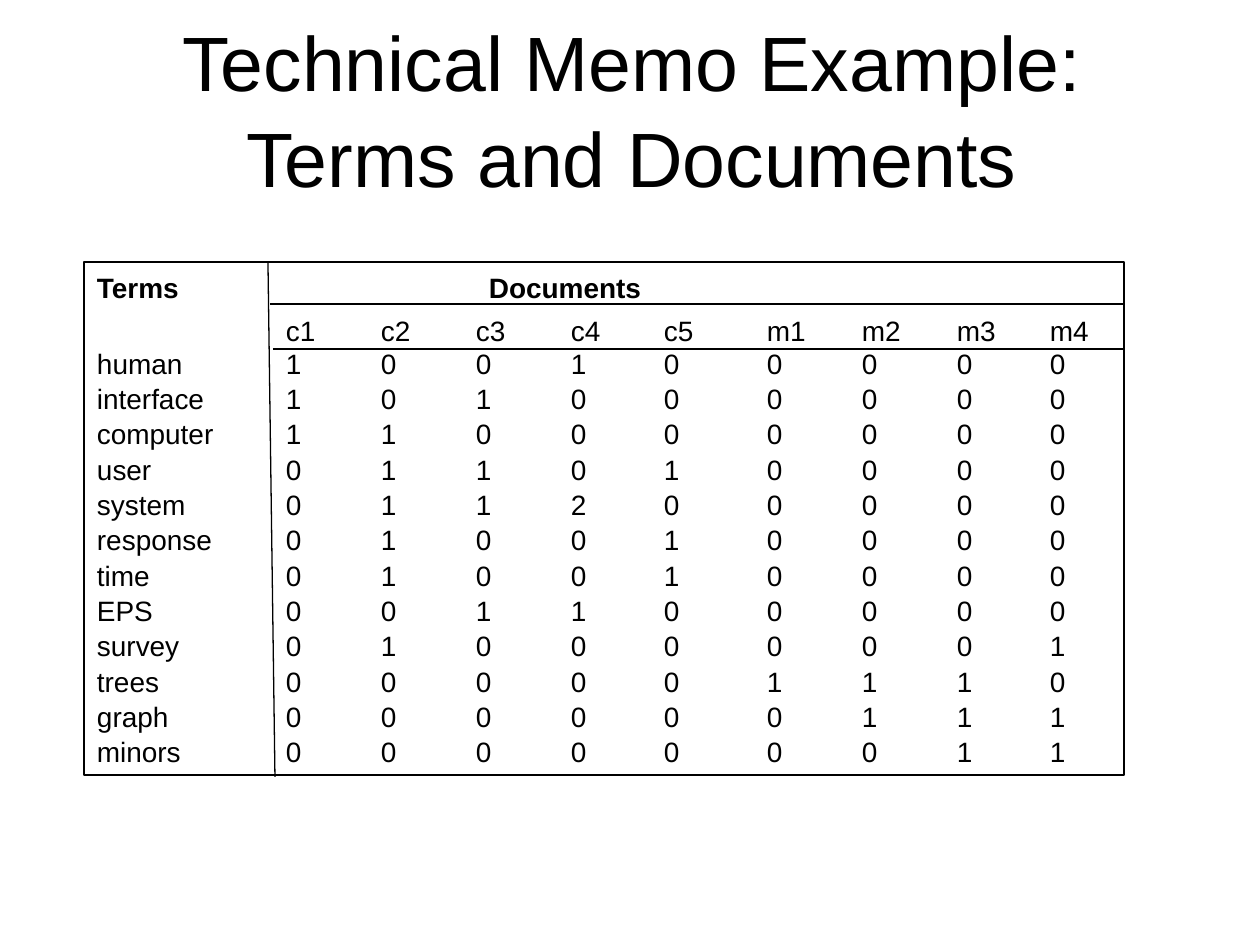
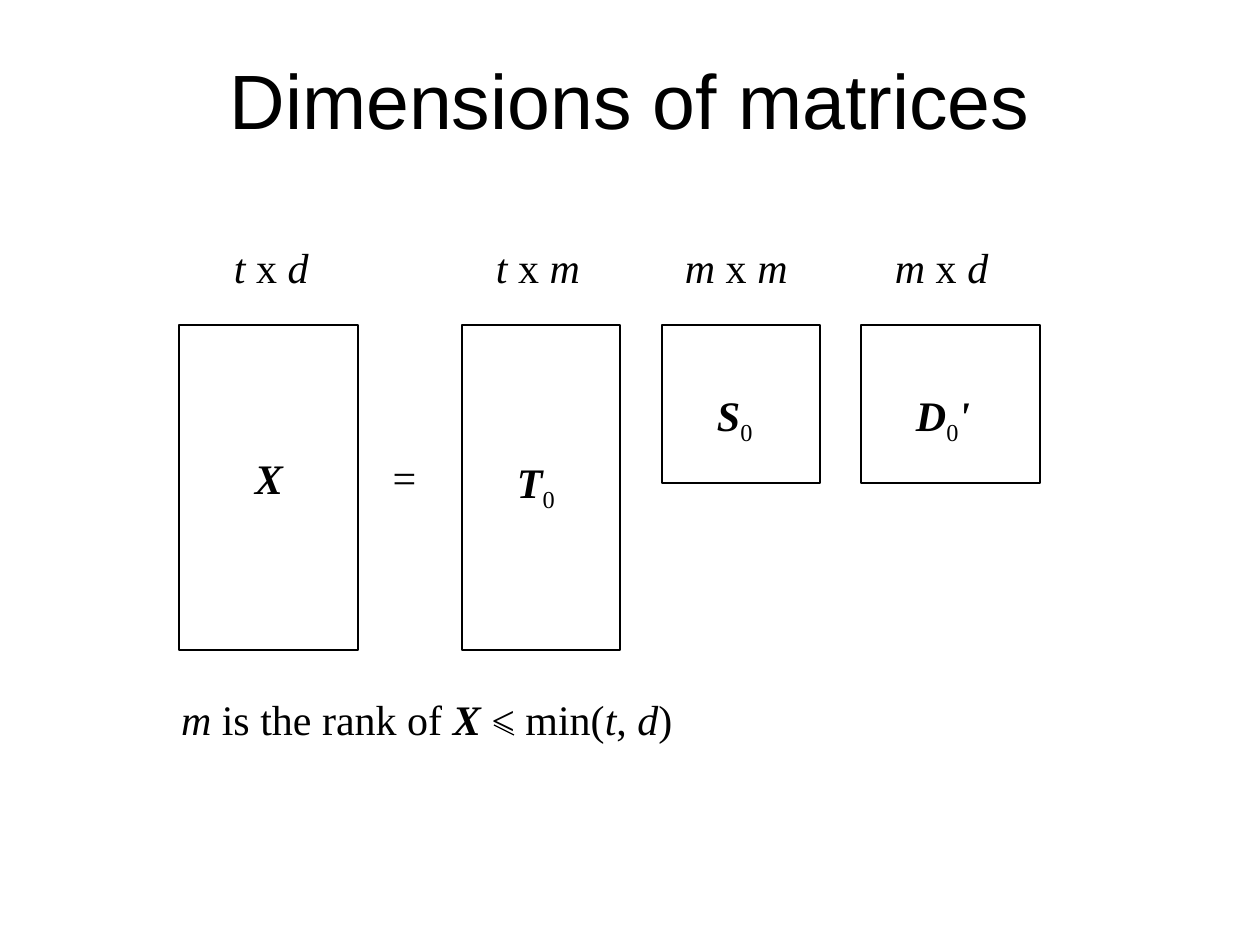
from itertools import accumulate

from lxml.etree import SubElement
from pptx import Presentation
from pptx.dml.color import RGBColor
from pptx.enum.shapes import MSO_CONNECTOR, MSO_SHAPE
from pptx.enum.text import MSO_ANCHOR, MSO_AUTO_SIZE, PP_ALIGN
from pptx.oxml.ns import qn
from pptx.util import Emu, Pt

PX = 914400 / 126
COLORS = {"ink": "000000", "paper": "FFFFFF"}
FONTS = {"sans": "Arial", "serif": "Times New Roman"}
INSET_X, INSET_TOP = 13, 11
NO_GRID_STYLE = "{2D5ABB26-0587-4C30-8999-92F81FD0307C}"

DOCUMENTS = ["c1", "c2", "c3", "c4", "c5", "m1", "m2", "m3", "m4"]
TERM_COUNTS = {
    "human": "100100000",
    "interface": "101000000",
    "computer": "110000000",
    "user": "011010000",
    "system": "011200000",
    "response": "010010000",
    "time": "010010000",
    "EPS": "001100000",
    "survey": "010000001",
    "trees": "000001110",
    "graph": "000000111",
    "minors": "000000011",
}
COLUMN_WIDTHS = [189, 95, 95, 95, 93, 103, 95, 95, 93, 87]
HEADER_HEIGHTS = [42, 43]
BODY_HEIGHT = 424
DOCUMENTS_INDENT = 216


def px(length):
    """Turn pixels into EMU."""
    return Emu(round(length * PX))


def color(name):
    """Look up a shared colour."""
    return RGBColor.from_string(COLORS[name])


def style_font(font, face, size, bold=None):
    """Apply a typeface, size and the ink colour."""
    font.name = FONTS[face]
    font.size = Pt(size)
    font.bold = bold
    font.color.rgb = color("ink")


def set_frame(frame):
    """Give a text frame the shared insets, wrapping and top anchor."""
    frame.word_wrap = True
    frame.auto_size = MSO_AUTO_SIZE.NONE
    frame.vertical_anchor = MSO_ANCHOR.TOP
    frame.margin_left = frame.margin_right = px(INSET_X)
    frame.margin_top = px(INSET_TOP)


def add_titled_slide(presentation, text, left, top):
    """Add a title-only slide with its title at the given place."""
    slide = presentation.slides.add_slide(presentation.slide_layouts[5])
    title = slide.shapes.title
    title.left, title.top, title.width, title.height = map(px, (left, top, 1134, 158))
    title.text_frame.text = text
    set_frame(title.text_frame)
    paragraph = title.text_frame.paragraphs[0]
    paragraph.alignment = PP_ALIGN.CENTER
    paragraph.line_spacing = 1.04
    style_font(paragraph.font, "sans", 44)
    return slide


def add_rectangle(slide, left, top, width, height, filled=True):
    """Draw a thin outlined rectangle."""
    shape = slide.shapes.add_shape(
        MSO_SHAPE.RECTANGLE, *map(px, (left, top, width, height)))
    shape.shadow.inherit = False
    if filled:
        shape.fill.solid()
        shape.fill.fore_color.rgb = color("paper")
    else:
        shape.fill.background()
    shape.line.color.rgb = color("ink")
    shape.line.width = Pt(0.75)


def add_rule(slide, *ends):
    """Draw a thin straight line between two points."""
    rule = slide.shapes.add_connector(MSO_CONNECTOR.STRAIGHT, *map(px, ends))
    rule.line.color.rgb = color("ink")
    rule.line.width = Pt(0.75)
    SubElement(rule._element.spPr, qn("a:effectLst"))


def add_math(slide, left, top, width, runs, height=63, alignment=PP_ALIGN.LEFT):
    """Add one line of notation from (text, style) pairs: b, i or sub."""
    box = slide.shapes.add_textbox(*map(px, (left, top, width, height)))
    set_frame(box.text_frame)
    paragraph = box.text_frame.paragraphs[0]
    paragraph.alignment = alignment
    style_font(paragraph.font, "serif", 24)
    for text, style in runs:
        run = paragraph.add_run()
        run.text = text
        if style == "sub":
            run._r.get_or_add_rPr().set("baseline", "-25000")
        else:
            run.font.bold = "b" in style
            run.font.italic = "i" in style


def fill_cell(cell, text, anchor, bold=False):
    """Write one table cell."""
    cell.text = text
    cell.fill.background()
    cell.vertical_anchor = anchor
    cell.margin_left = px(INSET_X)
    cell.margin_right = cell.margin_top = cell.margin_bottom = 0
    style_font(cell.text_frame.paragraphs[0].font, "sans", 16, bold)


def add_term_table(slide, left, top, width, height):
    """Place the term by document counts with their frame and rules."""
    header = [["Terms", "Documents"] + [""] * 8, [""] + DOCUMENTS]
    rows = header + [[term, *counts] for term, counts in TERM_COUNTS.items()]
    row_heights = HEADER_HEIGHTS + [BODY_HEIGHT / len(TERM_COUNTS)] * len(TERM_COUNTS)
    table = slide.shapes.add_table(
        len(rows), len(COLUMN_WIDTHS),
        *map(px, (left, top, width, sum(row_heights)))).table
    table.first_row = table.horz_banding = False
    table._tbl.tblPr.find(qn("a:tableStyleId")).text = NO_GRID_STYLE
    for column, column_width in zip(table.columns, COLUMN_WIDTHS):
        column.width = px(column_width)
    for row_index, (values, row_height) in enumerate(zip(rows, row_heights)):
        table.rows[row_index].height = px(row_height)
        anchor = MSO_ANCHOR.BOTTOM if row_index < len(header) else MSO_ANCHOR.MIDDLE
        for column_index, value in enumerate(values):
            fill_cell(table.cell(row_index, column_index), value, anchor, row_index == 0)
    documents = table.cell(0, 1)
    documents.merge(table.cell(0, len(DOCUMENTS)))
    documents.margin_left = px(DOCUMENTS_INDENT)

    add_rectangle(slide, left, top, width, height, filled=False)
    divider = left + COLUMN_WIDTHS[0]
    add_rule(slide, divider + 2, top + height + 2, divider - 5, top + 1)
    for start, offset in zip((divider - 3, divider), accumulate((42, 45))):
        add_rule(slide, start, top + offset, left + width, top + offset)


def add_matrix(slide, left, top, width, height, size, size_box, name, name_box):
    """Draw one matrix with its dimensions above and its name inside."""
    rows, columns = size
    add_rectangle(slide, left, top, width, height)
    size_offset, size_width = size_box
    add_math(slide, left + size_offset, top - 94, size_width,
             [(rows, "i"), (" x ", ""), (columns, "i")])
    name_x, name_y, name_width = name_box
    add_math(slide, left + name_x, top + name_y, name_width, name, height=70)


def add_equation(slide, left, top):
    """Lay out the four matrices, the equals sign and the rank note."""
    matrices = [
        (0, 179, 325, "td", (42, 105), [("X", "bi")], (63, 116, 73)),
        (283, 158, 325, "tm", (21, 126), [("T", "bi"), ("0", "sub")], (42, 120, 73)),
        (483, 158, 158, "mm", (10, 136), [("S", "bi"), ("0", "sub")], (42, 53, 73)),
        (682, 179, 158, "md", (21, 126),
         [("D", "bi"), ("0", "sub"), ("'", "bi")], (42, 53, 95)),
    ]
    for offset, width, height, *labels in matrices:
        add_matrix(slide, left + offset, top, width, height, *labels)
    add_math(slide, left + 189, top + 116, 73, [("=", "")], alignment=PP_ALIGN.CENTER)
    add_math(slide, left - 11, top + 358, 725, [
        ("m", "i"), (" is the rank of ", ""), ("X ", "bi"), ("< min(", ""),
        ("t", "i"), (", ", ""), ("d", "i"), (")", "")], height=140)
    add_rule(slide, left + 315, top + 400, left + 335, top + 410)


def main():
    """Build both slides and save them."""
    presentation = Presentation()
    presentation.slide_width, presentation.slide_height = px(1260), px(945)
    memo = add_titled_slide(
        presentation, "Technical Memo Example: Terms and Documents", 65, 0)
    add_term_table(memo, 84, 262, 1040, 513)
    dimensions = add_titled_slide(presentation, "Dimensions of matrices", 63, 38)
    add_equation(dimensions, 179, 325)
    presentation.save("out.pptx")


if __name__ == "__main__":
    main()
